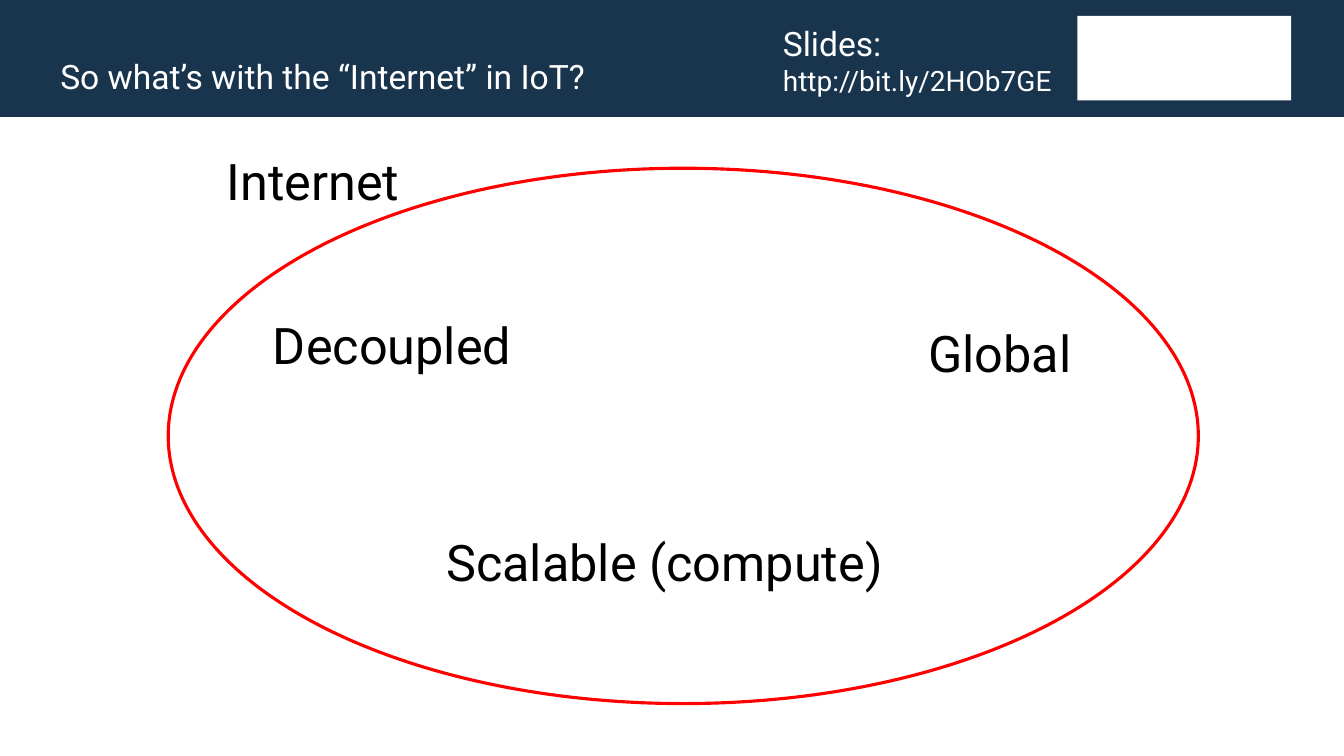
from pptx import Presentation
from pptx.dml.color import RGBColor
from pptx.enum.shapes import MSO_SHAPE
from pptx.enum.text import MSO_ANCHOR, MSO_AUTO_SIZE, PP_ALIGN
from pptx.util import Cm, Pt

RECTANGLE, OVAL = MSO_SHAPE.RECTANGLE, MSO_SHAPE.OVAL
BOTTOM = MSO_ANCHOR.BOTTOM
FIT_TEXT = MSO_AUTO_SIZE.SHAPE_TO_FIT_TEXT
LEFT = PP_ALIGN.LEFT


def color(hex_code):
    return RGBColor.from_string(hex_code)


class IotSlide:
    FONT = "Roboto"
    NAVY, WHITE, BLACK, RED = "19344D", "FFFFFF", "000000", "FF0000"
    WIDTH, HEIGHT = 33.87, 19.05
    LABEL_HEIGHT = 1.8

    def __init__(self, presentation):
        presentation.slide_width = Cm(self.WIDTH)
        presentation.slide_height = Cm(self.HEIGHT)
        self.shapes = presentation.slides.add_slide(presentation.slide_layouts[6]).shapes

    def add_run(self, paragraph, text, size, hex_code):
        paragraph.alignment = LEFT
        run = paragraph.add_run()
        run.text = text
        run.font.name = self.FONT
        run.font.size = Pt(size)
        run.font.color.rgb = color(hex_code)

    def shape(self, kind, box, fill=None, line=None):
        shape = self.shapes.add_shape(kind, *map(Cm, box))
        shape.shadow.inherit = False
        if fill:
            shape.fill.solid()
            shape.fill.fore_color.rgb = color(fill)
        else:
            shape.fill.background()
        if line:
            shape.line.color.rgb = color(line)
            shape.line.width = Pt(2.25)
        else:
            shape.line.fill.background()
        return shape

    def title_band(self, title):
        frame = self.shape(RECTANGLE, (0, 0, self.WIDTH, 2.95), self.NAVY).text_frame
        frame.vertical_anchor = BOTTOM
        frame.margin_left, frame.margin_bottom = Cm(1.52), Cm(0.51)
        paragraph = frame.paragraphs[0]
        paragraph.line_spacing = 0.9
        paragraph.space_after = Pt(6)
        self.add_run(paragraph, title, 24, self.WHITE)

    def text(self, box, lines, hex_code, wrap=False):
        """Add a text box; lines holds a (text, size) pair per paragraph."""
        frame = self.shapes.add_textbox(*map(Cm, box)).text_frame
        frame.word_wrap = wrap
        frame.auto_size = FIT_TEXT
        for index, (line, size) in enumerate(lines):
            paragraph = frame.add_paragraph() if index else frame.paragraphs[0]
            self.add_run(paragraph, line, size, hex_code)

    def label(self, word, left, top, width):
        self.text((left, top, width, self.LABEL_HEIGHT), [(word, 36)], self.BLACK)


def main():
    presentation = Presentation()
    slide = IotSlide(presentation)

    slide.title_band("So what’s with the “Internet” in IoT?")
    slide.shape(RECTANGLE, (27.15, 0.4, 5.39, 2.13), fill=slide.WHITE)
    slide.text((19.48, 0.46, 7.44, 2.13),
               [("Slides:", 24), ("http://bit.ly/2HOb7GE", 20)],
               slide.WHITE, wrap=True)

    internet_traits = [
        ("Decoupled", 6.63, 7.8, 6.63),
        ("Scalable (compute)", 11, 13.26, 11.71),
        ("Global", 23.14, 8, 4.19),
    ]
    for trait in internet_traits:
        slide.label(*trait)
    slide.shape(OVAL, (4.24, 4.24, 25.96, 13.49), line=slide.RED)
    slide.label("Internet", 5.46, 3.66, 4.98)

    presentation.save("out.pptx")


if __name__ == "__main__":
    main()
